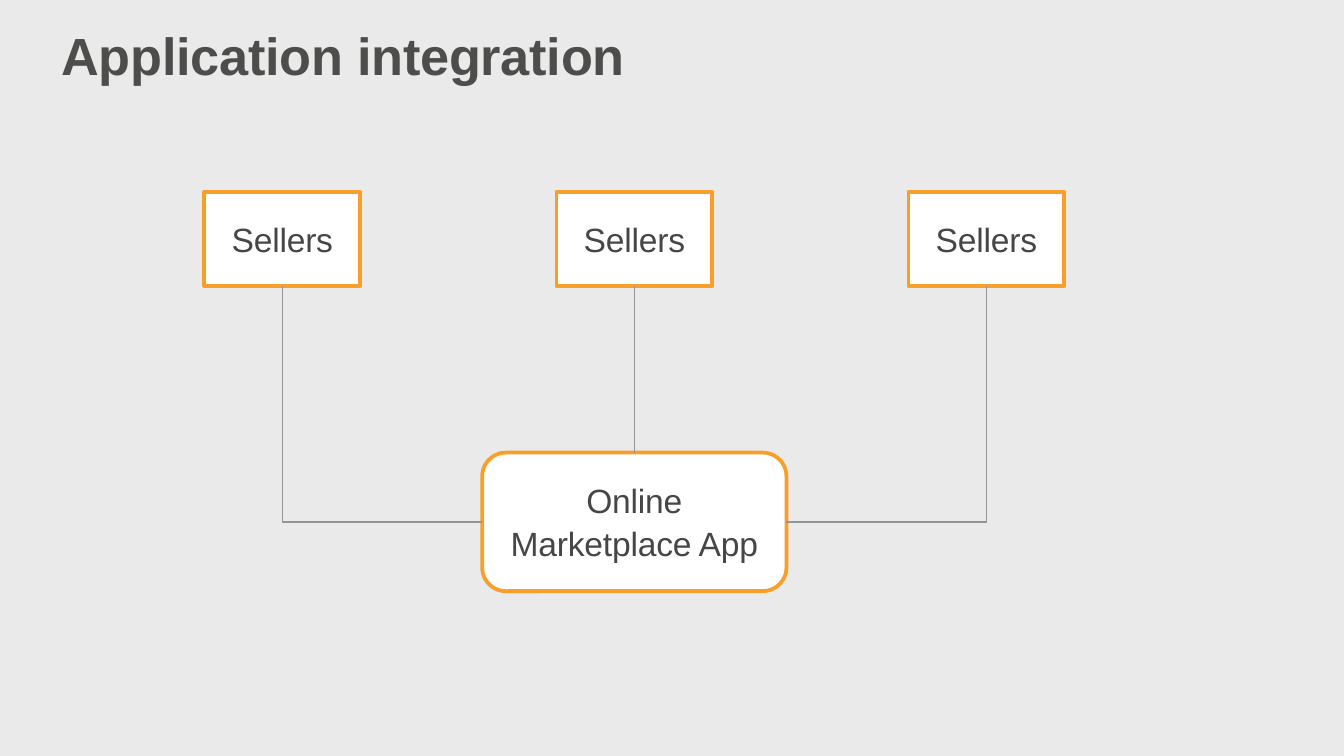
from pptx import Presentation
from pptx.dml.color import RGBColor
from pptx.enum.shapes import MSO_CONNECTOR as Link, MSO_SHAPE as Kind
from pptx.enum.text import MSO_ANCHOR as Anchor, MSO_AUTO_SIZE as Fit, PP_ALIGN as Align
from pptx.oxml import parse_xml
from pptx.oxml.ns import nsdecls
from pptx.util import Pt

BACK = RGBColor(0xEA, 0xEA, 0xEA)
WHITE = RGBColor(0xFF, 0xFF, 0xFF)
ORANGE = RGBColor(0xF7, 0x9F, 0x28)
GREY = RGBColor(0x94, 0x95, 0x93)
DARK = RGBColor(0x4D, 0x4D, 0x4B)
INK = RGBColor(0x46, 0x46, 0x46)


def write(shape, text, size, color, align, anchor, bold=False):
    frame = shape.text_frame
    frame.text = text
    frame.word_wrap = False
    frame.auto_size = Fit.NONE
    frame.vertical_anchor = anchor
    frame.margin_left = frame.margin_right = 0
    frame.margin_top = frame.margin_bottom = 0
    for i, para in enumerate(frame.paragraphs):
        para.alignment = align
        para.space_before = Pt(1.3 if i else 0)
        for run in para.runs:
            font = run.font
            font.name = "Arial"
            font.size = Pt(size)
            font.bold = bold
            font.color.rgb = color
            run._r.get_or_add_rPr().set("spc", "-10")


def add_title(slide, x, y, w, h):
    title = slide.shapes.title
    title.left, title.top, title.width, title.height = Pt(x), Pt(y), Pt(w), Pt(h)
    write(title, "Application integration", 28, DARK, Align.LEFT, Anchor.BOTTOM, True)


def add_node(slide, kind, text, x, y, w, h):
    node = slide.shapes.add_shape(kind, Pt(x), Pt(y), Pt(w), Pt(h))
    node.shadow.inherit = False
    node.fill.solid()
    node.fill.fore_color.rgb = WHITE
    node.line.color.rgb = ORANGE
    node.line.width = Pt(2)
    write(node, text, 18, INK, Align.CENTER, Anchor.MIDDLE)
    return node


def style_line(line):
    line.color.rgb = GREY
    line.width = Pt(0.75)


def add_drop(slide, top, base):
    drop = slide.shapes.add_connector(Link.STRAIGHT, 0, 0, 0, 0)
    drop.begin_connect(top, 2)
    drop.end_connect(base, 0)
    style_line(drop.line)
    drop._element.spPr.append(parse_xml(f"<a:effectLst {nsdecls('a')}/>"))


def add_elbow(slide, top, base, edge):
    x, y = top.left + top.width // 2, top.top + top.height
    mid = base.top + base.height // 2
    path = slide.shapes.build_freeform(x, y)
    path.add_line_segments([(x, mid), (edge, mid)], close=False)
    elbow = path.convert_to_shape()
    elbow.shadow.inherit = False
    elbow.fill.background()
    style_line(elbow.line)


def add_diagram(slide, x, y, w, h):
    wide, high = 83.5, 50.3
    step = (w - wide) / 2
    base_w, base_h = 163, 74.2
    app = add_node(slide, Kind.ROUNDED_RECTANGLE, "Online\nMarketplace App",
                   x + (w - base_w) / 2, y + h - base_h, base_w, base_h)
    app.adjustments[0] = 0.17
    left, mid, right = [
        add_node(slide, Kind.RECTANGLE, "Sellers", x + i * step, y, wide, high)
        for i in range(3)
    ]
    add_drop(slide, mid, app)
    add_elbow(slide, left, app, app.left)
    add_elbow(slide, right, app, app.left + app.width)


def main():
    deck = Presentation()
    deck.slide_width, deck.slide_height = Pt(720), Pt(405)
    slide = deck.slides.add_slide(deck.slide_layouts[5])
    slide.background.fill.solid()
    slide.background.fill.fore_color.rgb = BACK
    add_title(slide, 32.8, 10.8, 306.6, 35.3)
    add_diagram(slide, 109.5, 102.8, 460.7, 213.9)
    deck.save("out.pptx")


if __name__ == "__main__":
    main()
